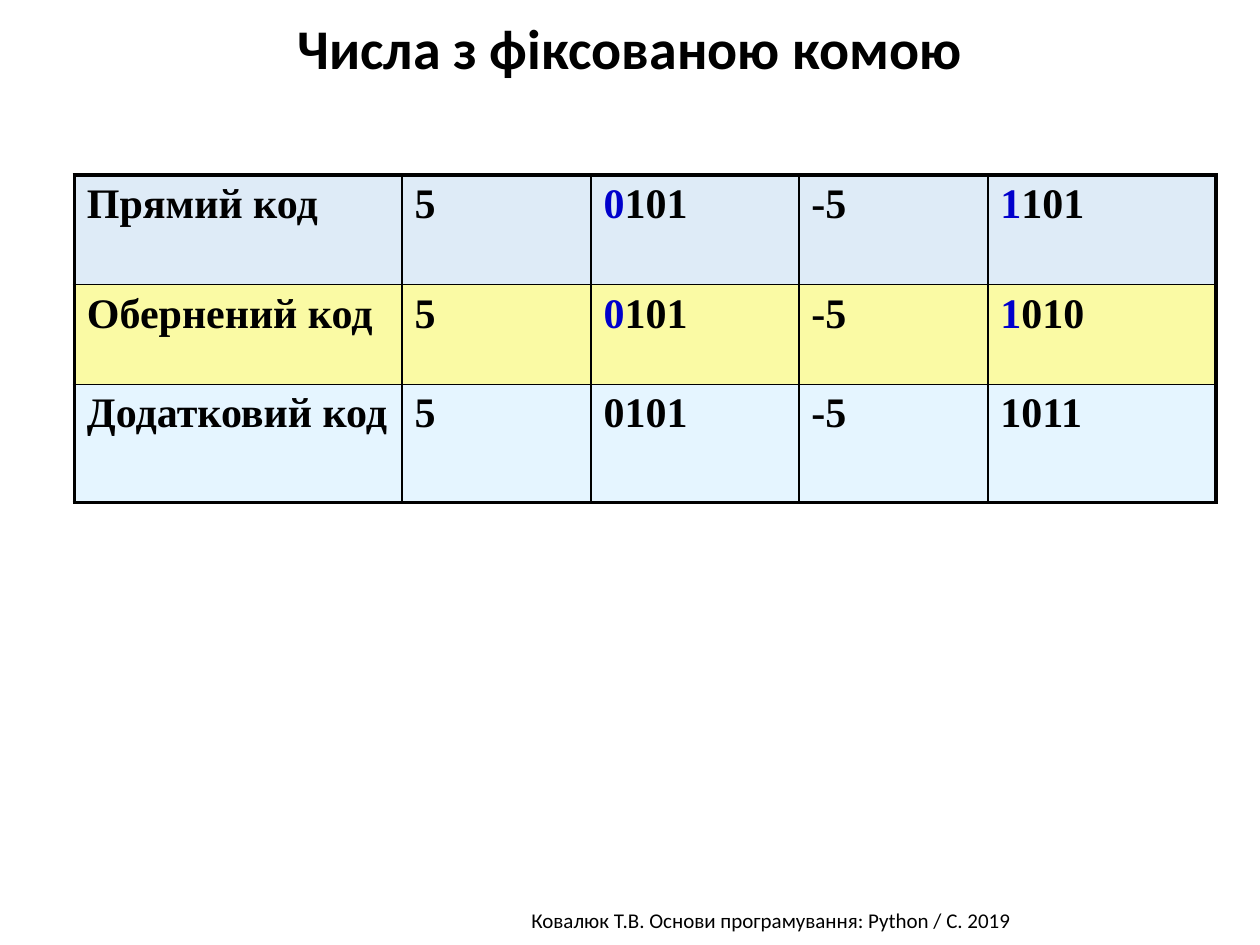
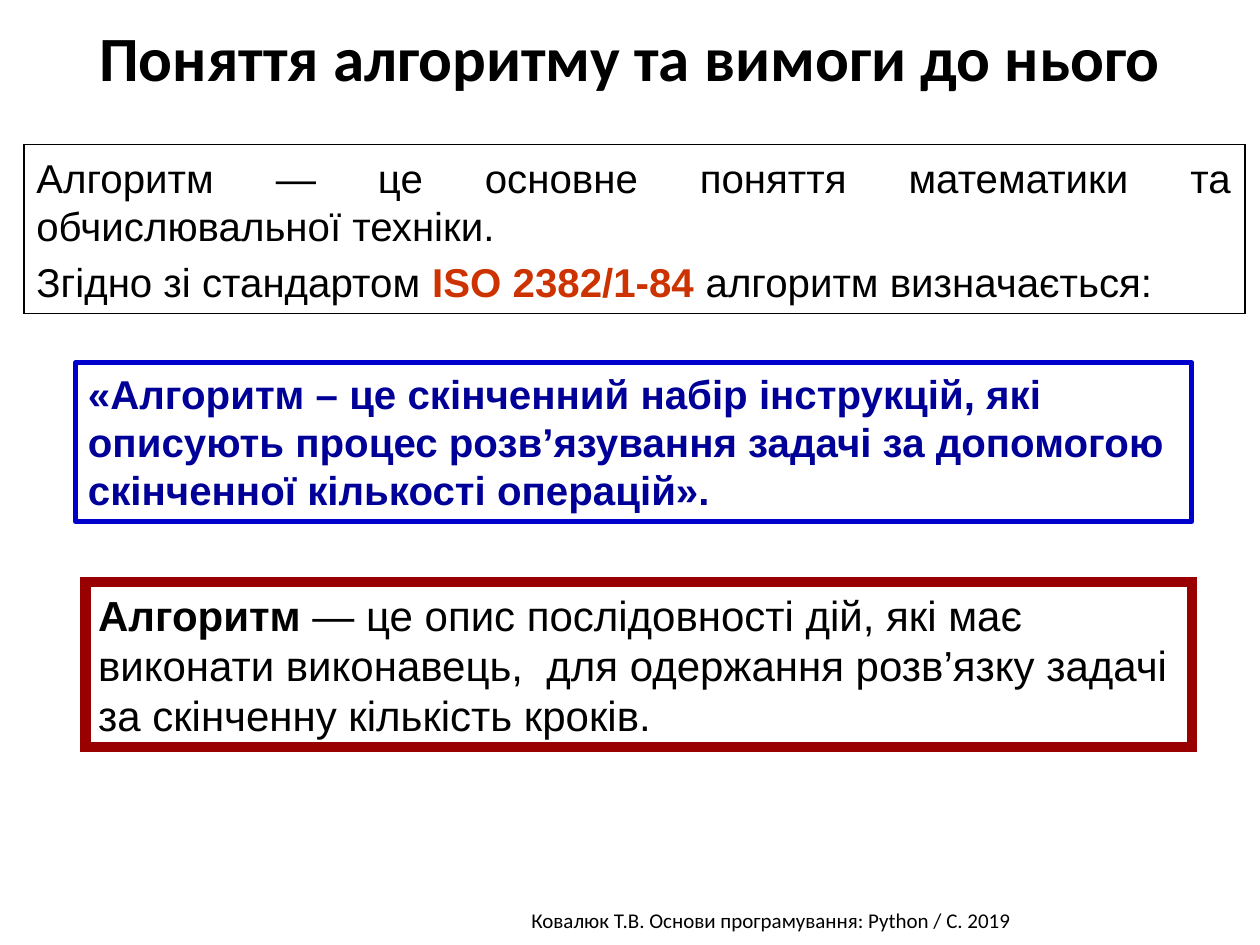
from lxml import etree
from pptx import Presentation
from pptx.dml.color import RGBColor
from pptx.enum.shapes import MSO_SHAPE as Preset
from pptx.enum.text import MSO_ANCHOR as Anchor, PP_ALIGN as Align
from pptx.oxml.ns import qn
from pptx.util import Inches, Pt

BLACK = RGBColor(0x00, 0x00, 0x00)
SIGN_BLUE = RGBColor(0x00, 0x00, 0xCC)
QUOTE_BLUE = RGBColor(0x00, 0x00, 0x99)
STANDARD_RED = RGBColor(0xCC, 0x33, 0x00)
FRAME_RED = RGBColor(0x99, 0x00, 0x00)
DIRECT_FILL = RGBColor(0xDE, 0xEB, 0xF7)
INVERSE_FILL = RGBColor(0xFA, 0xFA, 0xA4)
ADDITIONAL_FILL = RGBColor(0xE5, 0xF5, 0xFF)

HEADING_FONT = "Calibri"
BODY_FONT = "Arial"
TABLE_FONT = "Times New Roman"
FOOTER = "Ковалюк Т.В. Основи програмування: Python / C. 2019"

COLUMN_WIDTHS = (2.6, 1.5, 1.65, 1.5, 1.81)
ROW_HEIGHTS = (0.87, 0.79, 0.94)
CODE_ROWS = (
    (DIRECT_FILL, SIGN_BLUE, ("Прямий код", "5", "0101", "-5", "1101")),
    (INVERSE_FILL, SIGN_BLUE, ("Обернений код", "5", "0101", "-5", "1010")),
    (ADDITIONAL_FILL, BLACK, ("Додатковий код", "5", "0101", "-5", "1011")),
)
THIN, THICK = 1, 2.25


def write_text(frame, *paragraphs, font=BODY_FONT, size=23, bold=False, color=BLACK,
               align=Align.LEFT, anchor=Anchor.TOP, before=0, line_spacing=None):
    """Each paragraph is a string or a list of (text, overrides) runs."""
    frame.word_wrap = True
    frame.vertical_anchor = anchor
    for index, runs in enumerate(paragraphs):
        paragraph = frame.add_paragraph() if index else frame.paragraphs[0]
        paragraph.alignment = align
        paragraph.space_before = Pt(before)
        if line_spacing:
            paragraph.line_spacing = line_spacing
        if isinstance(runs, str):
            runs = [(runs, {})]
        for text, overrides in runs:
            run = paragraph.add_run()
            run.text = text
            run.font.name = font
            run.font.size = Pt(size)
            run.font.bold = overrides.get("bold", bold)
            run.font.color.rgb = overrides.get("color", color)


def add_text(slide, box, *paragraphs, **text_format):
    shape = slide.shapes.add_textbox(*map(Inches, box))
    write_text(shape.text_frame, *paragraphs, **text_format)


def add_frame(slide, box, line_color, line_width, *paragraphs, sharp=False, **text_format):
    shape = slide.shapes.add_shape(Preset.RECTANGLE, *map(Inches, box))
    shape.shadow.inherit = False
    shape.fill.background()
    shape.line.color.rgb = line_color
    shape.line.width = Pt(line_width)
    if sharp:
        line = shape._element.spPr.find(qn("a:ln"))
        etree.SubElement(line, qn("a:miter"), lim="800000")
    write_text(shape.text_frame, *paragraphs, **text_format)


def set_border(cell, side, width):
    properties = cell._tc.get_or_add_tcPr()
    line = etree.SubElement(properties, qn(f"a:ln{side}"), w=str(Pt(width)))
    fill = etree.SubElement(line, qn("a:solidFill"))
    etree.SubElement(fill, qn("a:srgbClr"), val=str(BLACK))


def add_code_table(slide, left, top):
    row_count, column_count = len(ROW_HEIGHTS), len(COLUMN_WIDTHS)
    box = (left, top, sum(COLUMN_WIDTHS), sum(ROW_HEIGHTS))
    table = slide.shapes.add_table(row_count, column_count, *map(Inches, box)).table
    for column, width in zip(table.columns, COLUMN_WIDTHS):
        column.width = Inches(width)
    for row, height in zip(table.rows, ROW_HEIGHTS):
        row.height = Inches(height)
    for row_index, (fill, sign_color, values) in enumerate(CODE_ROWS):
        for column_index, value in enumerate(values):
            cell = table.cell(row_index, column_index)
            outer_sides = {
                "L": column_index == 0,
                "R": column_index == column_count - 1,
                "T": row_index == 0,
                "B": row_index == row_count - 1,
            }
            for side, is_outer in outer_sides.items():
                set_border(cell, side, THICK if is_outer else THIN)
            cell.fill.solid()
            cell.fill.fore_color.rgb = fill
            is_signed_code = len(value) == 4 and sign_color != BLACK
            runs = [(value[0], {"color": sign_color}), (value[1:], {})] if is_signed_code else value
            write_text(cell.text_frame, runs, font=TABLE_FONT, size=24, bold=True)


def add_slide(presentation, title, title_box, title_size, **title_format):
    slide = presentation.slides.add_slide(presentation.slide_layouts[6])
    add_text(slide, (2.24, 7.15, 7.76, 0.3), FOOTER,
             font=HEADING_FONT, size=12, align=Align.CENTER)
    add_text(slide, title_box, title, font=HEADING_FONT, size=title_size,
             bold=True, align=Align.CENTER, **title_format)
    return slide


def build_fixed_point_slide(presentation):
    slide = add_slide(presentation, "Числа з фіксованою комою", (0, 0.06, 10, 0.64), 32)
    add_code_table(slide, 0.59, 1.39)


def build_algorithm_slide(presentation):
    slide = add_slide(presentation, "Поняття алгоритму та вимоги до нього",
                      (0, 0.21, 10, 0.55), 36, anchor=Anchor.MIDDLE, line_spacing=0.9)
    add_frame(
        slide, (0.68, 4.62, 8.78, 1.31), FRAME_RED, 6,
        [("Алгоpитм", {"bold": True}),
         (" — це опис послідовності дій, які має виконати виконавець,  "
          "для одержання розв’язку задачі за скінченну кількість кроків.", {})],
        size=24, anchor=Anchor.MIDDLE, sharp=True)
    add_frame(
        slide, (0.19, 1.15, 9.69, 1.34), BLACK, 0.75,
        "Алгоритм — це основне поняття математики та обчислювальної техніки.",
        [("Згідно зі стандартом ", {}),
         ("ISO 2382/1-84 ", {"bold": True, "color": STANDARD_RED}),
         ("алгоритм визначається:", {})],
        align=Align.JUSTIFY, anchor=Anchor.MIDDLE, before=4.6, sharp=True)
    add_frame(
        slide, (0.6, 2.88, 8.86, 1.26), SIGN_BLUE, 3,
        "«Алгоритм – це скінченний набір інструкцій, які описують процес розв’язування "
        "задачі за допомогою скінченної кількості операцій».",
        bold=True, color=QUOTE_BLUE)


def main():
    presentation = Presentation()
    presentation.slide_width = Inches(10)
    presentation.slide_height = Inches(7.5)
    build_fixed_point_slide(presentation)
    build_algorithm_slide(presentation)
    presentation.save("out.pptx")


if __name__ == "__main__":
    main()
